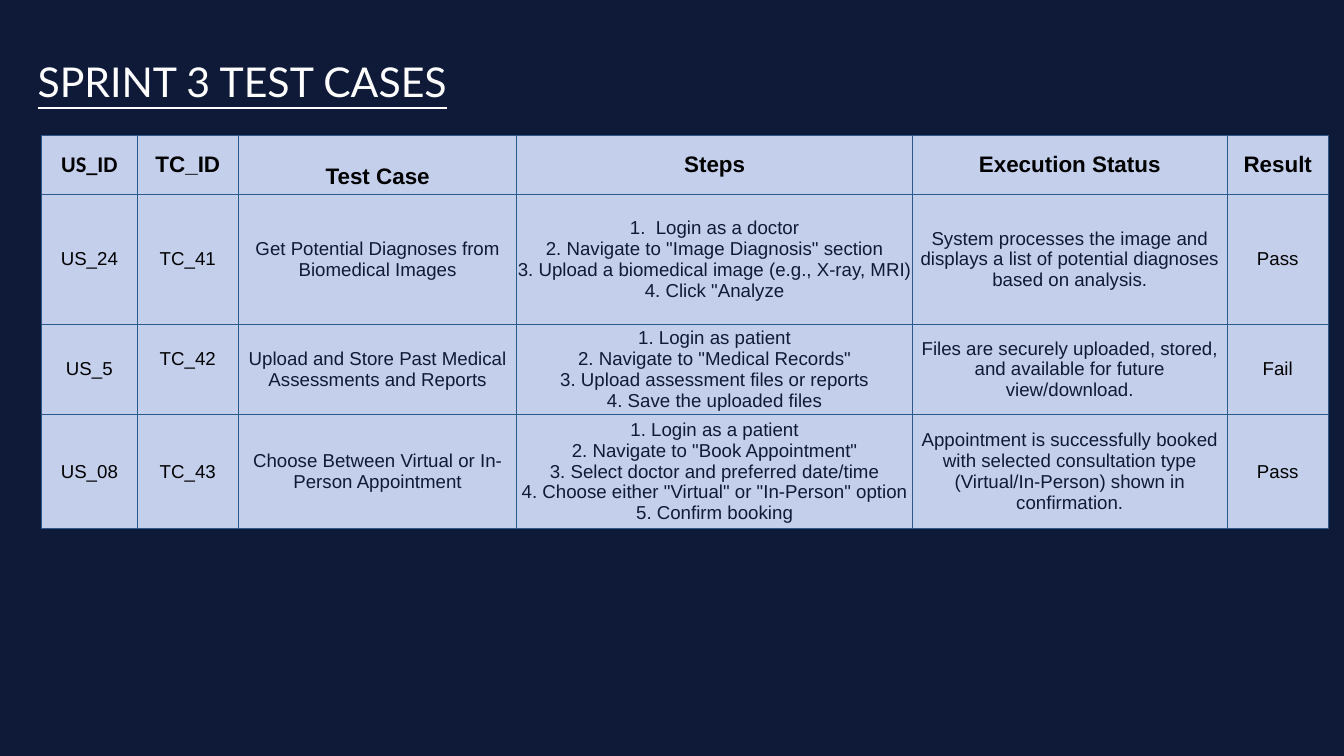
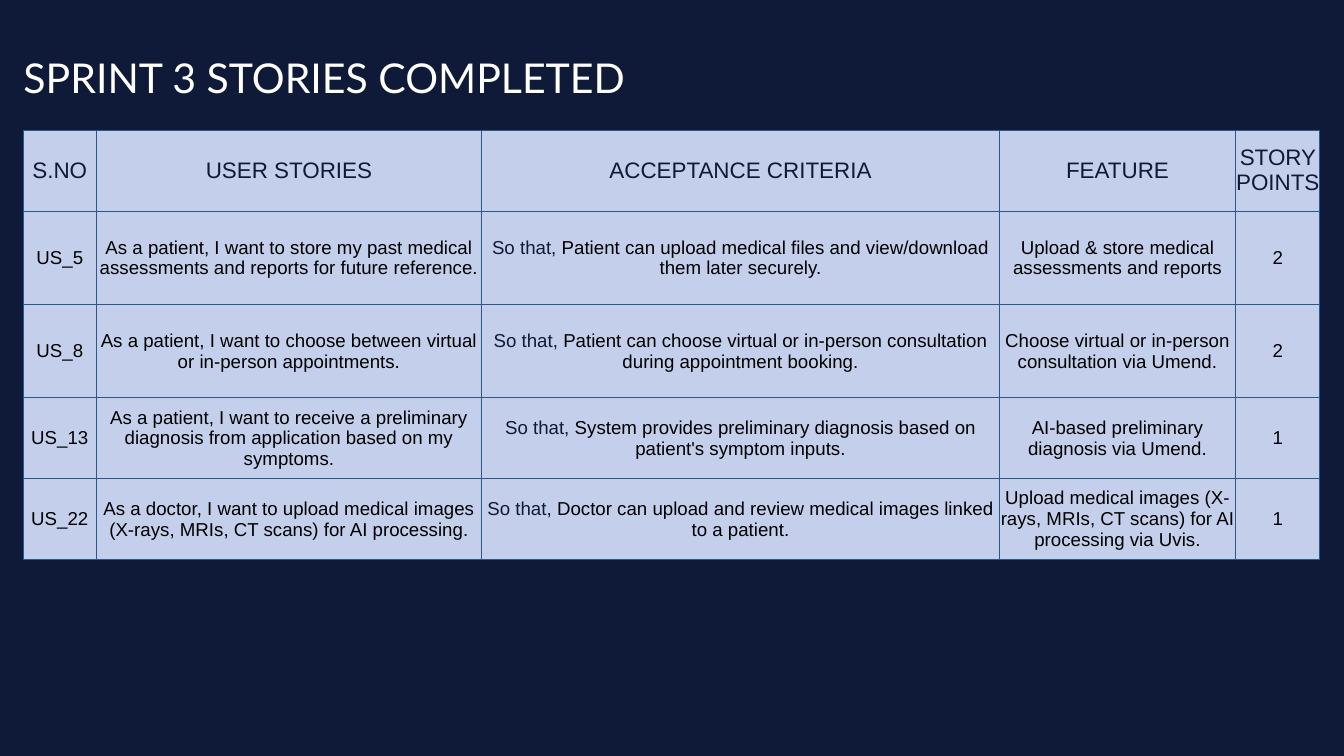
from dataclasses import dataclass, field
from typing import NamedTuple, Optional

from lxml import etree
from pptx import Presentation
from pptx import slide as sl
from pptx import table as tb
from pptx import util as u
from pptx.dml import color
from pptx.enum import text
from pptx.oxml import ns
from pptx.text import text as txt


@dataclass(frozen=True)
class Theme:
    navy: str = "0F1A38"
    black: str = "000000"
    white: str = "FFFFFF"
    cell: str = "C4CFEB"
    grid: str = "2A598E"
    grid_pt: float = 0.75
    title_font: str = "Lato"
    body_font: str = "Arial"
    title_pt: int = 44
    head_pt: int = 24
    body_pt: int = 20


THEME = Theme()


class Span(NamedTuple):
    """A stretch of cell text in one colour."""
    words: str
    hue: str = THEME.black


@dataclass
class Cell:
    spans: list[Span]
    font: str = THEME.body_font
    raise_by: float = 0  # extra bottom inset
    lower_by: float = 0  # extra top inset


@dataclass
class Grid:
    left: float
    top: float
    widths: list[float]
    heights: list[float]
    head: list[Cell]
    rows: list[list[Cell]]
    head_bold: bool = False


@dataclass
class Page:
    title: str
    title_left: float
    title_top: float
    grid: Grid
    title_format: dict[str, bool] = field(default_factory=dict)


def black(words: str, **options) -> Cell:
    return Cell([Span(words)], **options)


def navy(words: str) -> Cell:
    return Cell([Span(words, THEME.navy)])


def rgb(hue: str) -> color.RGBColor:
    return color.RGBColor.from_string(hue)


def write(paragraph: txt._Paragraph, words: str, *, size: float, hue: str,
          font: str = THEME.body_font, bold: bool = False,
          underline: bool = False,
          align: Optional[text.PP_ALIGN] = None) -> None:
    """Append formatted text to a paragraph, breaking at each newline."""
    paragraph.alignment = align
    for number, line in enumerate(words.split("\n")):
        if number:
            paragraph.add_line_break()
        run = paragraph.add_run()
        run.text = line
        run.font.name = font
        run.font.size = u.Pt(size)
        run.font.bold = bold
        run.font.underline = underline
        run.font.color.rgb = rgb(hue)


def outline(cell: tb._Cell) -> None:
    """Draw the four borders of a cell."""
    properties = cell._tc.get_or_add_tcPr()
    for side in ("lnL", "lnR", "lnT", "lnB"):
        line = etree.SubElement(properties, ns.qn(f"a:{side}"),
                                w=str(u.Pt(THEME.grid_pt)))
        fill = etree.SubElement(line, ns.qn("a:solidFill"))
        etree.SubElement(fill, ns.qn("a:srgbClr"), val=THEME.grid)


def draw_cell(cell: tb._Cell, content: Cell, size: float, bold: bool,
              inset: float) -> None:
    outline(cell)
    cell.fill.solid()
    cell.fill.fore_color.rgb = rgb(THEME.cell)
    cell.vertical_anchor = text.MSO_ANCHOR.MIDDLE
    cell.margin_left = cell.margin_right = u.Inches(inset)
    cell.margin_top = u.Inches(inset + content.lower_by)
    cell.margin_bottom = u.Inches(content.raise_by)
    for span in content.spans:
        write(cell.text_frame.paragraphs[0], span.words, size=size,
              hue=span.hue, font=content.font, bold=bold,
              align=text.PP_ALIGN.CENTER)


def draw_grid(slide: sl.Slide, grid: Grid) -> None:
    frame = slide.shapes.add_table(
        len(grid.heights), len(grid.widths),
        u.Inches(grid.left), u.Inches(grid.top),
        u.Inches(sum(grid.widths)), u.Inches(sum(grid.heights)))
    table = frame.table
    table.first_row = table.horz_banding = False
    for column, width in zip(table.columns, grid.widths):
        column.width = u.Inches(width)
    for row, height in zip(table.rows, grid.heights):
        row.height = u.Inches(height)

    for r, contents in enumerate([grid.head, *grid.rows]):
        is_head = r == 0
        for c, content in enumerate(contents):
            draw_cell(table.cell(r, c), content,
                      size=THEME.head_pt if is_head else THEME.body_pt,
                      bold=is_head and grid.head_bold,
                      inset=0 if is_head else 0.01)


def draw_page(deck, page: Page) -> None:
    slide = deck.slides.add_slide(deck.slide_layouts[6])
    slide.background.fill.solid()
    slide.background.fill.fore_color.rgb = rgb(THEME.navy)
    title = slide.shapes.add_textbox(
        u.Inches(page.title_left), u.Inches(page.title_top),
        u.Inches(13.12), u.Inches(1.61)).text_frame
    title.word_wrap = True
    title.vertical_anchor = text.MSO_ANCHOR.MIDDLE
    write(title.paragraphs[0], page.title, size=THEME.title_pt,
          hue=THEME.white, font=THEME.title_font, **page.title_format)
    draw_grid(slide, page.grid)


def test_case(story: str, case: Cell, name: str, steps: list[str],
              status: str, result: str) -> list[Cell]:
    return [black(story), case, navy(name), navy("\n".join(steps)),
            navy(status), black(result)]


def user_story(number: str, wish: str, criterion: str, feature: str,
               points: int) -> list[Cell]:
    criteria = Cell([Span("So that, ", THEME.navy), Span(criterion)])
    return [black(number), black(wish), criteria, black(feature),
            black(str(points))]


# Test cases
TEST_CASES = Grid(
    left=0.62, top=2.01,
    widths=[1.42, 1.51, 4.14, 5.89, 4.68, 1.51],
    heights=[0.88, 1.93, 1.25, 1.7],
    head_bold=True,
    head=[black("US_ID", font="Calibri"), black("TC_ID"),
          black("Test Case", lower_by=0.36), black("Steps"),
          black("Execution Status"), black("Result")],
    rows=[
        test_case("US_24", black("TC_41"),
                  "Get Potential Diagnoses from Biomedical Images",
                  ["1.  Login as a doctor",
                   '2. Navigate to "Image Diagnosis" section',
                   "3. Upload a biomedical image (e.g., X-ray, MRI)",
                   '4. Click "Analyze'],
                  "System processes the image and displays a list of "
                  "potential diagnoses based on analysis.", "Pass"),
        test_case("US_5", black("TC_42", raise_by=0.31),
                  "Upload and Store Past Medical Assessments and Reports",
                  ["1. Login as patient",
                   '2. Navigate to "Medical Records"',
                   "3. Upload assessment files or reports",
                   "4. Save the uploaded files"],
                  "Files are securely uploaded, stored, and available for "
                  "future view/download.", "Fail"),
        test_case("US_08", black("TC_43"),
                  "Choose Between Virtual or In-Person Appointment",
                  ["1. Login as a patient",
                   '2. Navigate to "Book Appointment"',
                   "3. Select doctor and preferred date/time",
                   '4. Choose either "Virtual" or "In-Person" option',
                   "5. Confirm booking"],
                  "Appointment is successfully booked with selected "
                  "consultation type (Virtual/In-Person) shown in "
                  "confirmation.", "Pass"),
    ])

# Completed stories
STORIES = Grid(
    left=0.35, top=1.94,
    widths=[1.08, 5.74, 7.7, 3.52, 1.25],
    heights=[1.2, 1.39, 1.39, 1.2, 1.2],
    head=[navy(words) for words in (
        "S.NO", "USER STORIES", "ACCEPTANCE CRITERIA", "FEATURE",
        "STORY POINTS")],
    rows=[
        user_story("US_5",
                   "As a patient, I want to store my past medical "
                   "assessments and reports for future reference.",
                   "Patient can upload medical files and view/download "
                   "them later securely.",
                   "Upload & store medical assessments and reports", 2),
        user_story("US_8",
                   "As a patient, I want to choose between virtual or "
                   "in-person appointments.",
                   "Patient can choose virtual or in-person consultation "
                   "during appointment booking.",
                   "Choose virtual or in-person consultation via Umend.", 2),
        user_story("US_13",
                   "As a patient, I want to receive a preliminary diagnosis "
                   "from application based on my symptoms.",
                   "System provides preliminary diagnosis based on "
                   "patient's symptom inputs.",
                   "AI-based preliminary diagnosis via Umend.", 1),
        user_story("US_22",
                   "As a doctor, I want to upload medical images (X-rays, "
                   "MRIs, CT scans) for AI processing.",
                   "Doctor can upload and review medical images linked to "
                   "a patient.",
                   "Upload medical images (X-rays, MRIs, CT scans) for AI "
                   "processing via Uvis.", 1),
    ])

PAGES = [
    Page("SPRINT 3 TEST CASES", 0.46, 0.4, TEST_CASES, {"underline": True}),
    Page("SPRINT 3 STORIES COMPLETED", 0.25, 0.34, STORIES),
]


def main() -> None:
    deck = Presentation()
    deck.slide_width = u.Inches(20)
    deck.slide_height = u.Inches(11.25)
    for page in PAGES:
        draw_page(deck, page)
    deck.save("out.pptx")


if __name__ == "__main__":
    main()
